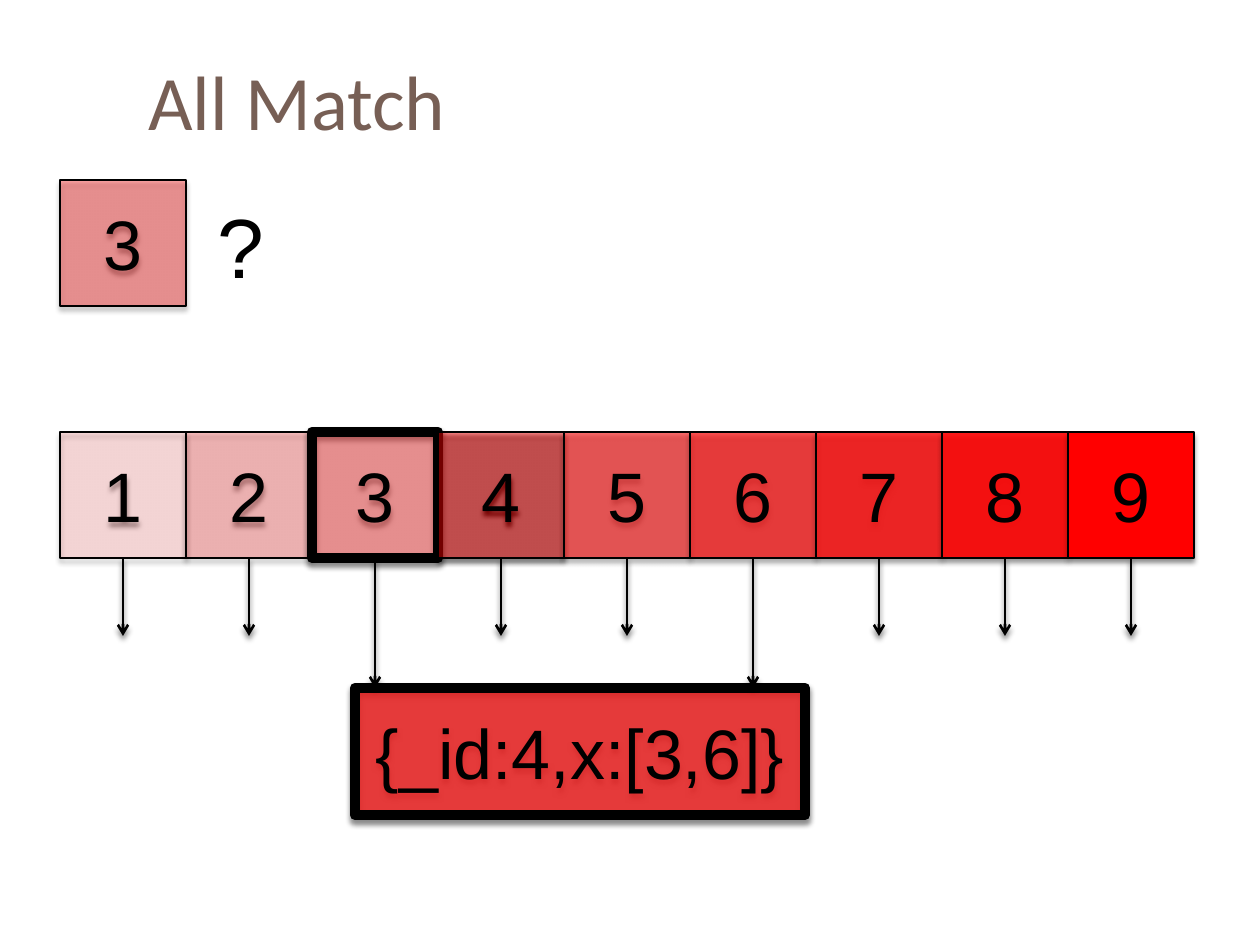
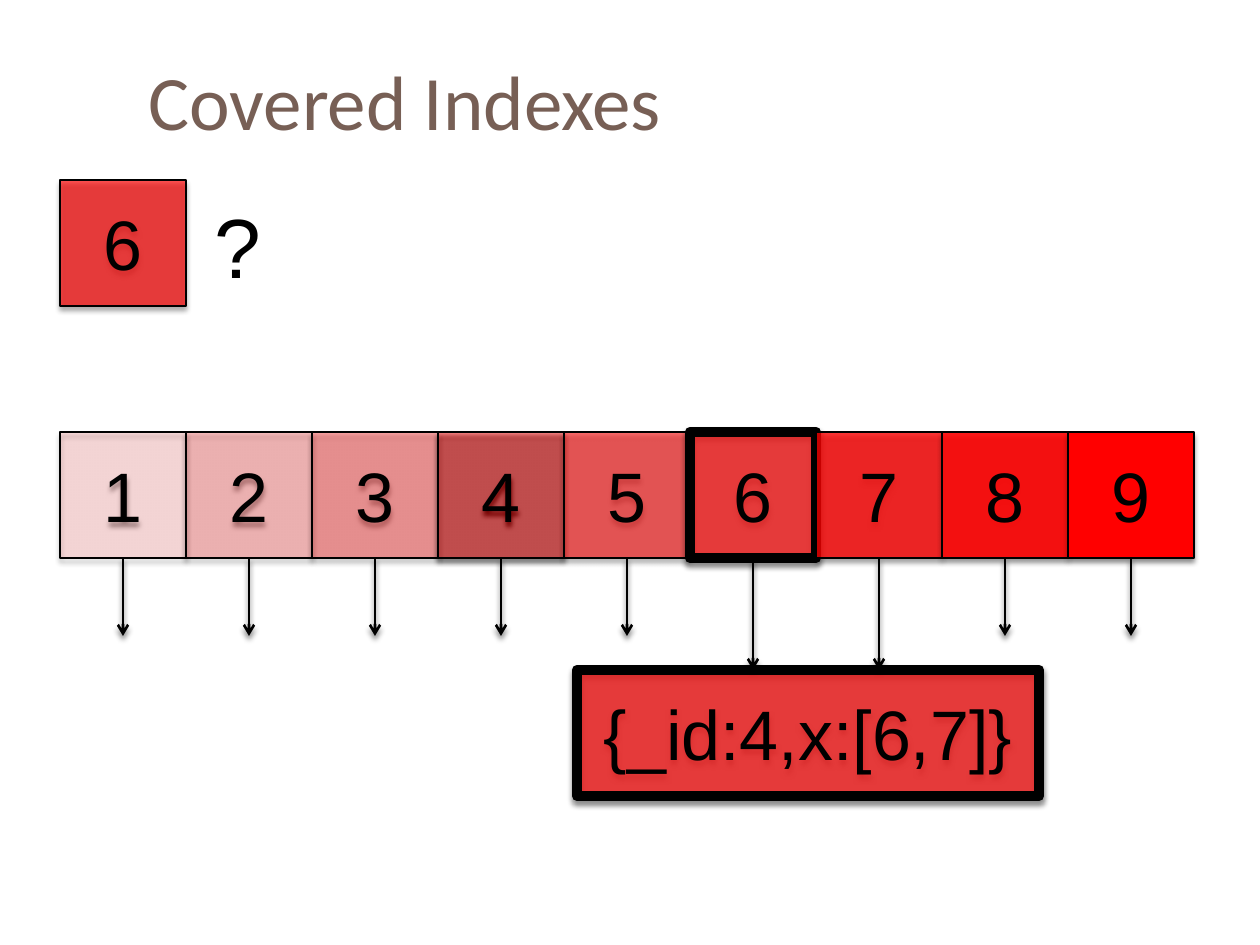
"""Builds two slides that show how a query value matches entries of an index."""
from dataclasses import dataclass

from lxml import etree
from pptx import Presentation
from pptx import util as u
from pptx.dml.color import RGBColor
from pptx.enum import shapes, text
from pptx.oxml import ns

PX = u.Inches(10) / 1260
BLACK, RED, BROWN = "000000", "FF0000", "775F55"
CELL = 126
LEFT = 60
QUERY_TOP, INDEX_TOP = 180, 432
VALUES = range(1, 10)
ARROW_END = 636
THIN, BOLD = 0.75, 6


@dataclass(frozen=True)
class Area:
    left: int
    top: int
    width: int
    height: int


@dataclass(frozen=True)
class Lookup:
    title: str
    value: int
    mark_left: int
    document: str
    matches: tuple[int, ...]
    document_area: Area


LOOKUPS = (
    Lookup("All Match", 3, 205, "{_id:4,x:[3,6]}", (3, 6), Area(355, 688, 450, 127)),
    Lookup("Covered Indexes", 6, 202, "{_id:4,x:[6,7]}", (6, 7), Area(577, 670, 462, 126)),
)


def px(length: int) -> u.Emu:
    return u.Emu(round(length * PX))


def place(area: Area) -> tuple[u.Emu, ...]:
    return px(area.left), px(area.top), px(area.width), px(area.height)


def colour(code: str) -> RGBColor:
    return RGBColor.from_string(code)


def opacity(value: int) -> int:
    return 12 + 11 * (value - 1)


def add_node(parent, tag: str, **attributes):
    node = etree.SubElement(parent, ns.qn(tag))
    for name, setting in attributes.items():
        node.set(name, str(setting))
    return node


def set_alpha(colour_node, percent: int) -> None:
    add_node(colour_node, "a:alpha", val=percent * 1000)


def add_shadow(item) -> None:
    effects = add_node(item.element.spPr, "a:effectLst")
    shadow = add_node(effects, "a:outerShdw", blurRad=u.Pt(3), dist=u.Pt(2.4),
                      dir=90 * 60000, rotWithShape=0)
    set_alpha(add_node(shadow, "a:srgbClr", val=BLACK), 45)


def write(item, words: str, size: int, font: str = "Arial", code: str = BLACK):
    para = item.text_frame.paragraphs[0]
    span = para.add_run()
    span.text = words
    span.font.size = u.Pt(size)
    span.font.name = font
    span.font.color.rgb = colour(code)
    return para


def add_box(page, area: Area, words: str, shade: int, border: float):
    box = page.shapes.add_shape(shapes.MSO_SHAPE.RECTANGLE, *place(area))
    box.fill.solid()
    box.fill.fore_color.rgb = colour(RED)
    if shade < 100:
        set_alpha(box.element.spPr.find(".//" + ns.qn("a:srgbClr")), shade)
    box.line.color.rgb = colour(BLACK)
    box.line.width = u.Pt(border)
    add_shadow(box)
    box.text_frame.word_wrap = True
    box.text_frame.vertical_anchor = text.MSO_ANCHOR.MIDDLE
    write(box, words, 40).alignment = text.PP_ALIGN.CENTER
    return box


def add_cell(page, value: int, left: int, top: int, border: float = THIN):
    return add_box(page, Area(left, top, CELL, CELL), str(value), opacity(value), border)


def add_arrow(page, cell, end: int) -> None:
    middle = cell.left + cell.width // 2
    arrow = page.shapes.add_connector(shapes.MSO_CONNECTOR.STRAIGHT, middle,
                                      cell.top + cell.height, middle, px(end))
    arrow.begin_connect(cell, 2)
    arrow.line.color.rgb = colour(BLACK)
    arrow.line.width = u.Pt(1.5)
    add_node(arrow.line._get_or_add_ln(), "a:tailEnd", type="arrow")
    add_shadow(arrow)


def add_title(page, words: str) -> None:
    title = page.shapes.add_textbox(*place(Area(136, 32, 1124, 136)))
    title.text_frame.word_wrap = True
    title.text_frame.vertical_anchor = text.MSO_ANCHOR.MIDDLE
    write(title, words, 44, "Calibri", BROWN)


def add_question_mark(page, left: int) -> None:
    mark = page.shapes.add_textbox(*place(Area(left, 188, 73, 115)))
    mark.text_frame.word_wrap = False
    mark.text_frame.auto_size = text.MSO_AUTO_SIZE.SHAPE_TO_FIT_TEXT
    write(mark, "?", 48)


def add_lookup(deck, lookup: Lookup) -> None:
    page = deck.slides.add_slide(deck.slide_layouts[6])
    add_title(page, lookup.title)
    cells = {
        value: add_cell(page, value, LEFT + column * CELL, INDEX_TOP,
                        BOLD if value == lookup.value else THIN)
        for column, value in enumerate(VALUES)
    }
    add_cell(page, lookup.value, LEFT, QUERY_TOP)
    add_question_mark(page, lookup.mark_left)
    for value, cell in cells.items():
        matched = value in lookup.matches
        add_arrow(page, cell, lookup.document_area.top if matched else ARROW_END)
    add_box(page, lookup.document_area, lookup.document, opacity(6), BOLD)


def main() -> None:
    deck = Presentation()
    deck.slide_width, deck.slide_height = px(1260), px(945)
    for lookup in LOOKUPS:
        add_lookup(deck, lookup)
    deck.save("out.pptx")


if __name__ == "__main__":
    main()
